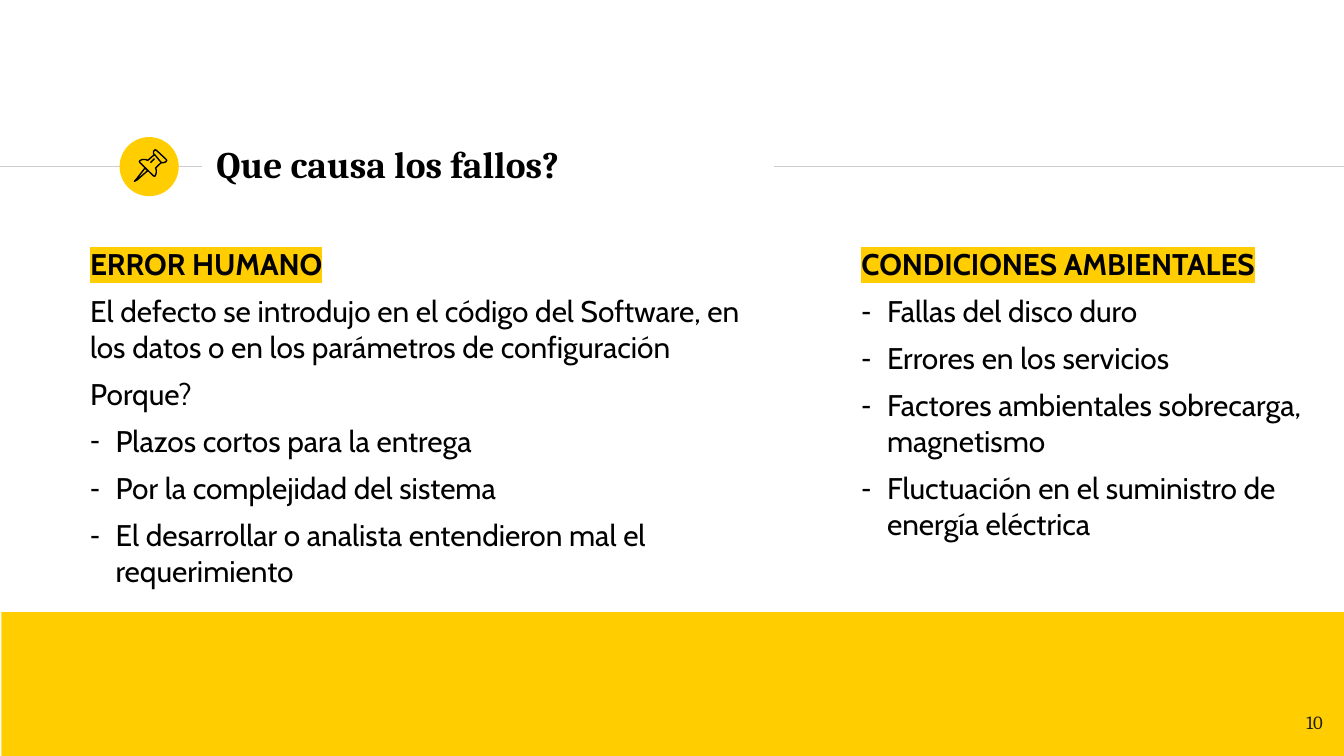
"""Build the slide about the causes of software failures."""
from dataclasses import dataclass

from lxml.etree import SubElement
from pptx import Presentation
from pptx.dml.color import RGBColor
from pptx.enum.shapes import MSO_CONNECTOR, MSO_SHAPE
from pptx.enum.text import MSO_ANCHOR, MSO_AUTO_SIZE, PP_ALIGN
from pptx.oxml import parse_xml
from pptx.oxml.ns import nsdecls, qn
from pptx.util import Inches, Pt

YELLOW, BLACK, GREY, DARK = "FFCD00", "000000", "CCCCCC", "1D1D1B"
SLIDE_WIDTH = 10
SLIDE_HEIGHT = SLIDE_WIDTH * 9 / 16
BAND_HEIGHT = 1.07
INDENT = Inches(0.19)


@dataclass(frozen=True)
class Box:
    left: float
    top: float
    width: float
    height: float

    def lengths(self) -> tuple:
        return tuple(Inches(v) for v in (self.left, self.top, self.width, self.height))


@dataclass(frozen=True)
class Column:
    placeholder: int
    box: Box
    heading: str
    plain: tuple[str, ...]
    bullets: tuple[str, ...]


@dataclass(frozen=True)
class Outline:
    points: tuple[tuple[int, int], ...]
    closed: bool = True


COLUMNS = (
    Column(1, Box(0.57, 1.73, 5.05, 2.8), "ERROR HUMANO",
           ("El defecto se introdujo en el código del Software, en los datos "
            "o en los parámetros de configuración", "Porque?"),
           ("Plazos cortos para la entrega", "Por la complejidad del sistema",
            "El desarrollar o analista entendieron mal el requerimiento")),
    Column(2, Box(6.31, 1.73, 3.5, 2.41), "CONDICIONES AMBIENTALES", (),
           ("Fallas del disco duro", "Errores en los servicios",
            "Factores ambientales sobrecarga, magnetismo",
            "Fluctuación en el suministro de energía eléctrica")),
)

PIN = (
    Outline(((1080, 1250), (1010, 1340), (1000, 1350), (1020, 1340), (1100, 1270))),
    Outline(((1150, 1150), (1200, 1210), (1220, 1210), (1235, 1203), (1240, 1195),
             (1237, 1187), (1163, 1118), (1155, 1115), (1147, 1120), (1142, 1130),
             (1142, 1143))),
    Outline(((1150, 1150), (1100, 1193), (1080, 1187), (1060, 1187), (1045, 1193),
             (1037, 1200), (1040, 1208), (1143, 1310), (1152, 1312), (1158, 1303),
             (1163, 1285), (1163, 1265), (1158, 1250), (1200, 1210)), closed=False),
    Outline(((1120, 1210), (1150, 1180)), closed=False),
)


def color(value: str) -> RGBColor:
    return RGBColor.from_string(value)


def write_text(paragraph, text: str, *, font: str, size: float, fill: str = BLACK,
               bold: bool = False, highlight: str | None = None) -> None:
    run = paragraph.add_run()
    run.text = text
    run.font.name, run.font.size, run.font.bold = font, Pt(size), bold
    run.font.color.rgb = color(fill)
    if highlight:
        run._r.rPr.find(qn("a:solidFill")).addnext(parse_xml(
            f'<a:highlight {nsdecls("a")}><a:srgbClr val="{highlight}"/></a:highlight>'))


def prepare_frame(shape, box: Box, anchor: MSO_ANCHOR):
    shape.left, shape.top, shape.width, shape.height = box.lengths()
    frame = shape.text_frame
    frame.word_wrap, frame.auto_size = True, MSO_AUTO_SIZE.NONE
    frame.vertical_anchor = anchor
    frame.margin_left = frame.margin_right = Inches(0.1)
    frame.margin_top = frame.margin_bottom = Inches(0.1)
    return frame


def set_bullet(paragraph, bulleted: bool) -> None:
    properties = paragraph._p.get_or_add_pPr()
    properties.set("marL", str(INDENT if bulleted else 0))
    properties.set("indent", str(-INDENT if bulleted else 0))
    if bulleted:
        bullet_color = SubElement(properties, qn("a:buClr"))
        SubElement(bullet_color, qn("a:srgbClr"), val=BLACK)
        SubElement(properties, qn("a:buChar"), char="-")
    else:
        SubElement(properties, qn("a:buNone"))


def fill_column(slide, column: Column) -> None:
    shape = slide.placeholders[column.placeholder]
    frame = prepare_frame(shape, column.box, MSO_ANCHOR.TOP)
    for index, text in enumerate((column.heading, *column.plain, *column.bullets)):
        heading = index == 0
        paragraph = frame.paragraphs[0] if heading else frame.add_paragraph()
        set_bullet(paragraph, index > len(column.plain))
        paragraph.space_before = Pt(0 if heading else 6)
        write_text(paragraph, text, font="Cabin", size=16, bold=heading,
                   highlight=YELLOW if heading else None)


def add_rule(slide, start: float, end: float, height: float) -> None:
    line = slide.shapes.add_connector(MSO_CONNECTOR.STRAIGHT, Inches(start), Inches(height),
                                      Inches(end), Inches(height))
    line.line.color.rgb, line.line.width = color(GREY), Pt(0.75)
    SubElement(line._element.spPr, qn("a:effectLst"))


def add_solid(slide, kind: MSO_SHAPE, box: Box, fill: str) -> None:
    shape = slide.shapes.add_shape(kind, *box.lengths())
    shape.shadow.inherit = False
    shape.fill.solid()
    shape.fill.fore_color.rgb = color(fill)
    shape.line.fill.background()


def add_pin(slide) -> None:
    group = slide.shapes.add_group_shape()
    for outline in PIN:
        first, *rest = outline.points
        builder = group.shapes.build_freeform(*first, scale=Inches(1) / 1000)
        builder.add_line_segments(rest, close=outline.closed)
        shape = builder.convert_to_shape()
        shape.shadow.inherit = False
        shape.fill.background()
        shape.line.color.rgb, shape.line.width = color(BLACK), Pt(0.75)


def main() -> None:
    presentation = Presentation()
    presentation.slide_width = Inches(SLIDE_WIDTH)
    presentation.slide_height = Inches(SLIDE_HEIGHT)
    slide = presentation.slides.add_slide(presentation.slide_layouts[3])

    add_rule(slide, 0, 1.5, 1.24)
    add_rule(slide, 5.76, 10, 1.24)
    add_solid(slide, MSO_SHAPE.OVAL, Box(0.89, 1.02, 0.44, 0.44), YELLOW)
    add_solid(slide, MSO_SHAPE.RECTANGLE,
              Box(0.01, SLIDE_HEIGHT - BAND_HEIGHT, SLIDE_WIDTH, BAND_HEIGHT), YELLOW)
    add_pin(slide)

    title = prepare_frame(slide.shapes.title, Box(1.51, 0.98, 6.1, 0.48), MSO_ANCHOR.MIDDLE)
    title.paragraphs[0].alignment = PP_ALIGN.LEFT
    write_text(title.paragraphs[0], "Que causa los fallos?", font="Cambria", size=20, bold=True)

    for column in COLUMNS:
        fill_column(slide, column)

    number_box = Box(9.34, 5.19, 0.6, 0.43)
    number = prepare_frame(slide.shapes.add_textbox(*number_box.lengths()), number_box,
                           MSO_ANCHOR.TOP)
    number.paragraphs[0].alignment = PP_ALIGN.RIGHT
    write_text(number.paragraphs[0], "10", font="Cambria", size=10, fill=DARK)

    presentation.save("out.pptx")


if __name__ == "__main__":
    main()
